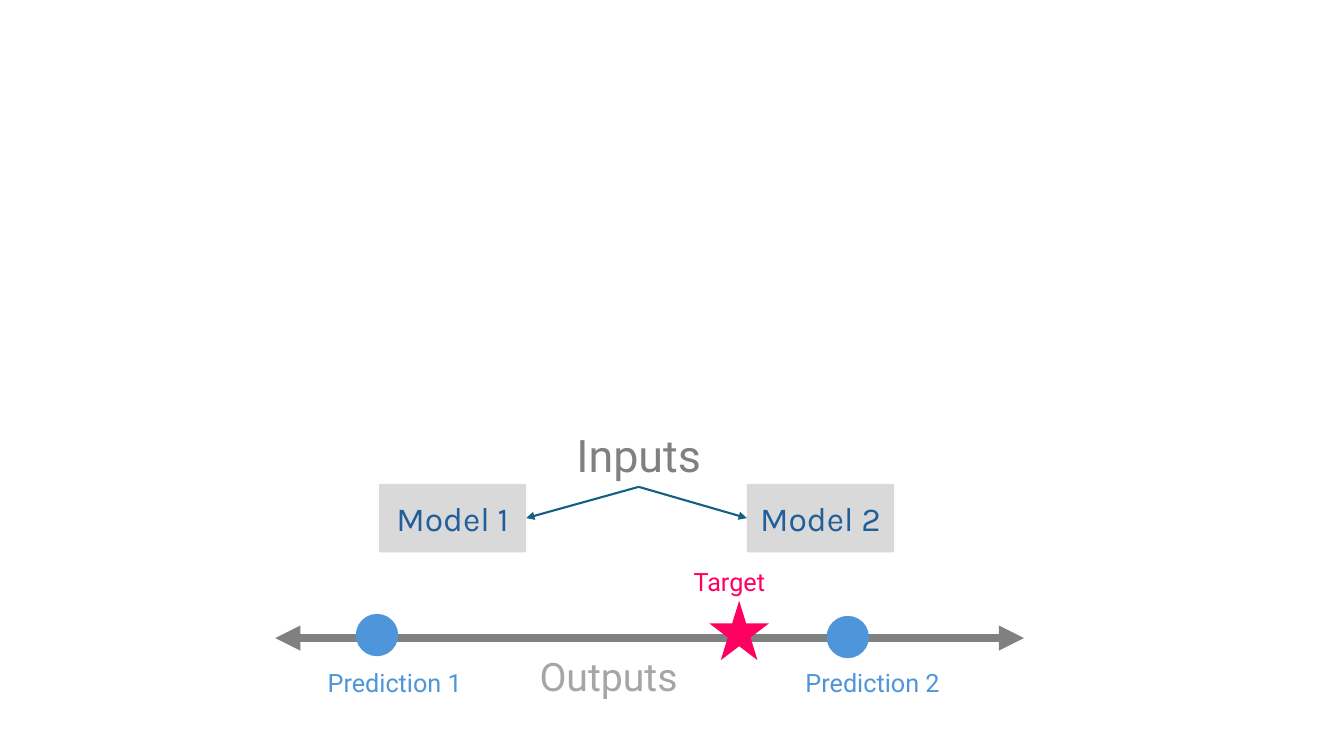
from lxml import etree
from pptx import Presentation
from pptx.dml.color import RGBColor
from pptx.enum.shapes import MSO_CONNECTOR, MSO_SHAPE
from pptx.enum.text import MSO_ANCHOR, MSO_AUTO_SIZE, PP_ALIGN
from pptx.oxml.ns import qn
from pptx.util import Inches, Pt

STRAIGHT = MSO_CONNECTOR.STRAIGHT
OVAL, STAR, RECT = MSO_SHAPE.OVAL, MSO_SHAPE.STAR_5_POINT, MSO_SHAPE.RECTANGLE
CENTER, MIDDLE = PP_ALIGN.CENTER, MSO_ANCHOR.MIDDLE
GROW = MSO_AUTO_SIZE.SHAPE_TO_FIT_TEXT
LEFT, BOTTOM, RIGHT = 1, 2, 3

COLORS = {
    "axis": "808080",
    "prediction": "4E95D9",
    "target": "FF0061",
    "outputs": "A6A6A6",
    "box": "D9D9D9",
    "model": "215F9A",
    "flow": "156082",
}
COLUMNS, ROWS = 40, 30


class Diagram:
    """Places elements by their centre on a grid of columns and rows."""

    def __init__(self, prs):
        self.slide = prs.slides.add_slide(prs.slide_layouts[6])
        self.column = prs.slide_width / COLUMNS
        self.row = prs.slide_height / ROWS

    def point(self, x, y):
        return round(x * self.column), round(y * self.row)

    def frame(self, x, y, width, height):
        return (*self.point(x - width / 2, y - height / 2), *self.point(width, height))

    def color(self, name):
        return RGBColor.from_string(COLORS[name])

    def add_text(self, shape, text, size, color, font):
        paragraph = shape.text_frame.paragraphs[0]
        paragraph.alignment = CENTER
        run = paragraph.add_run()
        run.text = text
        run.font.size = Pt(size)
        run.font.name = font
        run.font.color.rgb = self.color(color)

    def shape(self, kind, x, y, width, height, fill):
        shape = self.slide.shapes.add_shape(kind, *self.frame(x, y, width, height))
        shape.shadow.inherit = False
        shape.fill.solid()
        shape.fill.fore_color.rgb = self.color(fill)
        shape.line.fill.background()
        return shape

    def label(self, text, x, y, width, height, size, color):
        box = self.slide.shapes.add_textbox(*self.frame(x, y, width, height))
        box.text_frame.word_wrap = True
        box.text_frame.auto_size = GROW
        self.add_text(box, text, size, color, "Roboto")
        return box

    def model(self, text, x, y):
        box = self.shape(RECT, x, y, 4.38, 2.72, "box")
        box.text_frame.word_wrap = False
        box.text_frame.vertical_anchor = MIDDLE
        self.add_text(box, text, 24, "model", "Karla")
        return box

    def arrow(self, start, end, color, weight, ends):
        arrow = self.slide.shapes.add_connector(STRAIGHT, *self.point(*start), *self.point(*end))
        arrow.line.color.rgb = self.color(color)
        arrow.line.width = Pt(weight)
        properties = arrow._element.spPr
        outline = properties.find(qn("a:ln"))
        for end_tag in ends:
            etree.SubElement(outline, qn(end_tag), type="triangle")
        etree.SubElement(properties, qn("a:effectLst"))
        return arrow


def main():
    prs = Presentation()
    prs.slide_width, prs.slide_height = Inches(13.33), Inches(7.5)
    diagram = Diagram(prs)

    # Output axis
    diagram.arrow((8.19, 25.32), (30.48, 25.32), "axis", 6, ("a:headEnd", "a:tailEnd"))

    # Predictions and target on the axis
    predictions = [("Prediction 1", 11.22, 25.2, 11.75), ("Prediction 2", 25.23, 25.28, 25.97)]
    for name, dot_x, dot_y, label_x in predictions:
        diagram.shape(OVAL, dot_x, dot_y, 1.26, 1.68, "prediction")
        diagram.label(name, label_x, 27.08, 4.89, 1.6, 18, "prediction")
    diagram.shape(STAR, 22, 25.02, 1.77, 2.36, "target")
    diagram.label("Target", 21.71, 23.08, 3.45, 1.6, 18, "target")
    diagram.label("Outputs", 18.11, 26.82, 4.89, 2.28, 28, "outputs")

    # Inputs feeding both models
    inputs = diagram.label("Inputs", 19.01, 18.04, 4.89, 2.56, 32, "axis")
    for name, model_x, edge_x, side in [("Model 1", 13.47, 15.66, RIGHT), ("Model 2", 24.42, 22.23, LEFT)]:
        model = diagram.model(name, model_x, 20.56)
        flow = diagram.arrow((19.01, 19.32), (edge_x, 20.56), "flow", 1.5, ("a:tailEnd",))
        flow.begin_connect(inputs, BOTTOM)
        flow.end_connect(model, side)

    prs.save("out.pptx")


if __name__ == "__main__":
    main()
